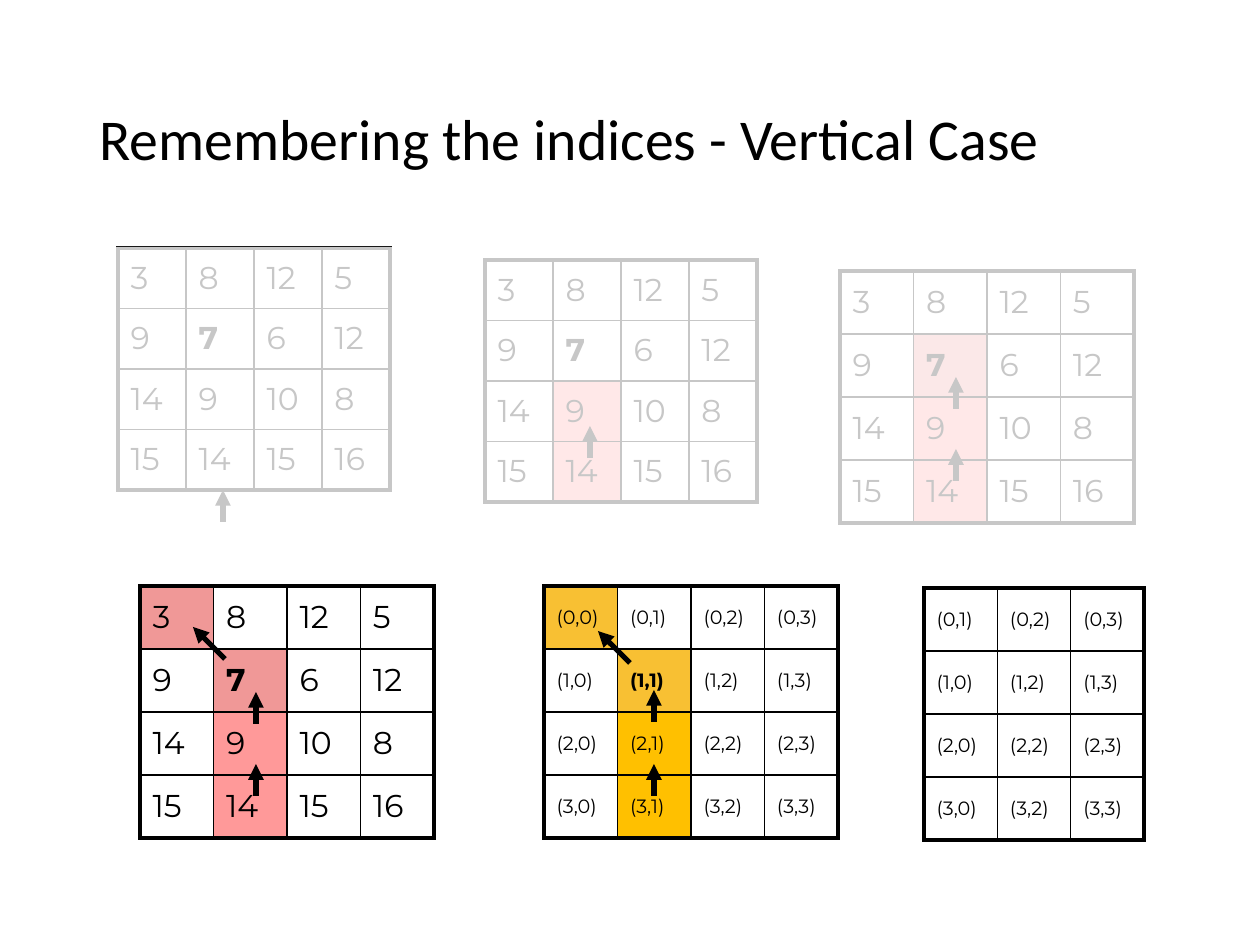
from lxml.etree import SubElement
from pptx import Presentation
from pptx.dml.color import RGBColor
from pptx.enum.shapes import MSO_CONNECTOR, MSO_SHAPE
from pptx.enum.text import MSO_ANCHOR, MSO_AUTO_SIZE, PP_ALIGN
from pptx.oxml.ns import qn
from pptx.util import Pt

THEME = {
    "ink": RGBColor.from_string("000000"),
    "veil": RGBColor.from_string("FFFFFF"),
    "reds": [RGBColor.from_string(c) for c in ("FF9999", "FF9999", "F09897", "F09897")],
    "golds": [RGBColor.from_string(c) for c in ("FFC000", "FFC000", "F8C033", "F8C033")],
    "title_font": "Calibri", "grid_font": "Montserrat",
    "title_size": 33, "value_size": 18, "index_size": 11,
    "outer_border": 2.25, "inner_border": 1, "arrow": 3,
}


def px(pixels):
    return round(pixels * 914400 / 126)


def write_text(frame, text, *, size, font, bold=False, line_spacing=None):
    paragraph = frame.paragraphs[0]
    paragraph.alignment = PP_ALIGN.LEFT
    paragraph.line_spacing = line_spacing
    run = paragraph.add_run()
    run.text = text
    run.font.size = Pt(size)
    run.font.name = font
    run.font.bold = bold
    run.font.color.rgb = THEME["ink"]


deck = Presentation()
deck.slide_width, deck.slide_height = px(1260), px(945)
slide = deck.slides.add_slide(deck.slide_layouts[5])

# Title
title = slide.shapes.title
title.left, title.top, title.width, title.height = px(87), px(50), px(1086), px(183)
title.text_frame.auto_size = MSO_AUTO_SIZE.NONE
title.text_frame.vertical_anchor = MSO_ANCHOR.MIDDLE
write_text(title.text_frame, "Remembering the indices - Vertical Case",
           size=THEME["title_size"], font=THEME["title_font"], line_spacing=0.9)

# Grid contents, and the seam from the bottom row upwards
values = [[3, 8, 12, 5], [9, 7, 6, 12], [14, 9, 10, 8], [15, 14, 15, 16]]
indices = [[f"({r},{c})" for c in range(4)] for r in range(4)]
seam = [(3, 1), (2, 1), (1, 1), (0, 0)]

# Grids: left, top, width, height, contents, size, seam colours, seam removed
value_size, index_size = THEME["value_size"], THEME["index_size"]
reds, golds = THEME["reds"], THEME["golds"]
grids = [
    (118, 248, 272, 242, values, value_size, [], False),
    (485, 260, 272, 242, values, value_size, reds[:2], False),
    (840, 271, 294, 252, values, value_size, reds[:3], False),
    (140, 586, 294, 252, values, value_size, reds, False),
    (544, 586, 294, 252, indices, index_size, golds, False),
    (924, 588, 220, 252, indices, index_size, [], True),
]
for left, top, width, height, contents, size, seam_colours, removed in grids:
    rows = [[(r, c) for c in range(4) if not (removed and (r, c) in seam)]
            for r in range(4)]
    last_row, last_column = len(rows) - 1, len(rows[0]) - 1
    grid = slide.shapes.add_table(len(rows), len(rows[0]), px(left), px(top),
                                  px(width), px(height)).table
    grid.first_row = grid.horz_banding = False
    highlights = dict(zip(seam, seam_colours))
    for row_number, row in enumerate(rows):
        for column_number, place in enumerate(row):
            cell = grid.cell(row_number, column_number)
            cell.vertical_anchor = MSO_ANCHOR.MIDDLE
            write_text(cell.text_frame, str(contents[place[0]][place[1]]), size=size,
                       font=THEME["grid_font"], bold=place == (1, 1))

            # Cell borders, thicker on the outside of the grid
            outside = {"a:lnL": column_number == 0, "a:lnR": column_number == last_column,
                       "a:lnT": row_number == 0, "a:lnB": row_number == last_row}
            properties = cell._tc.get_or_add_tcPr()
            for side, is_outer in outside.items():
                weight = THEME["outer_border" if is_outer else "inner_border"]
                border = SubElement(properties, qn(side), w=str(Pt(weight)))
                ink = SubElement(border, qn("a:solidFill"))
                SubElement(ink, qn("a:srgbClr"), val=str(THEME["ink"]))

            # Cell fill
            if place in highlights:
                cell.fill.solid()
                cell.fill.fore_color.rgb = highlights[place]
            else:
                cell.fill.background()

# Arrows: tip, then how far right the tail lies
step = 32
arrows = [
    (223, 490, 0), (590, 426, 0), (956, 449, 0), (956, 377, 0),
    (256, 764, 0), (256, 692, 0), (193, 627, step),
    (654, 764, 0), (654, 690, 0), (598, 631, step),
]
for tip_x, tip_y, shift in arrows:
    arrow = slide.shapes.add_connector(MSO_CONNECTOR.STRAIGHT, px(tip_x), px(tip_y),
                                       px(tip_x + shift), px(tip_y + step))
    arrow.line.color.rgb = THEME["ink"]
    arrow.line.width = Pt(THEME["arrow"])
    SubElement(arrow.line._get_or_add_ln(), qn("a:headEnd"), type="triangle")
    SubElement(arrow._element.spPr, qn("a:effectLst"))

# Veils that fade the earlier steps
veils = [(116, 247, 277, 246), (483, 258, 277, 246),
         (838, 268, 299, 257), (215, 493, 18, 30)]
for veil_box in veils:
    veil = slide.shapes.add_shape(MSO_SHAPE.RECTANGLE, *map(px, veil_box))
    veil.shadow.inherit = False
    veil.line.fill.background()
    veil.fill.solid()
    veil.fill.fore_color.rgb = THEME["veil"]
    tint = veil._element.spPr.find(qn("a:solidFill")).find(qn("a:srgbClr"))
    SubElement(tint, qn("a:alpha"), val="78000")

deck.save("out.pptx")
